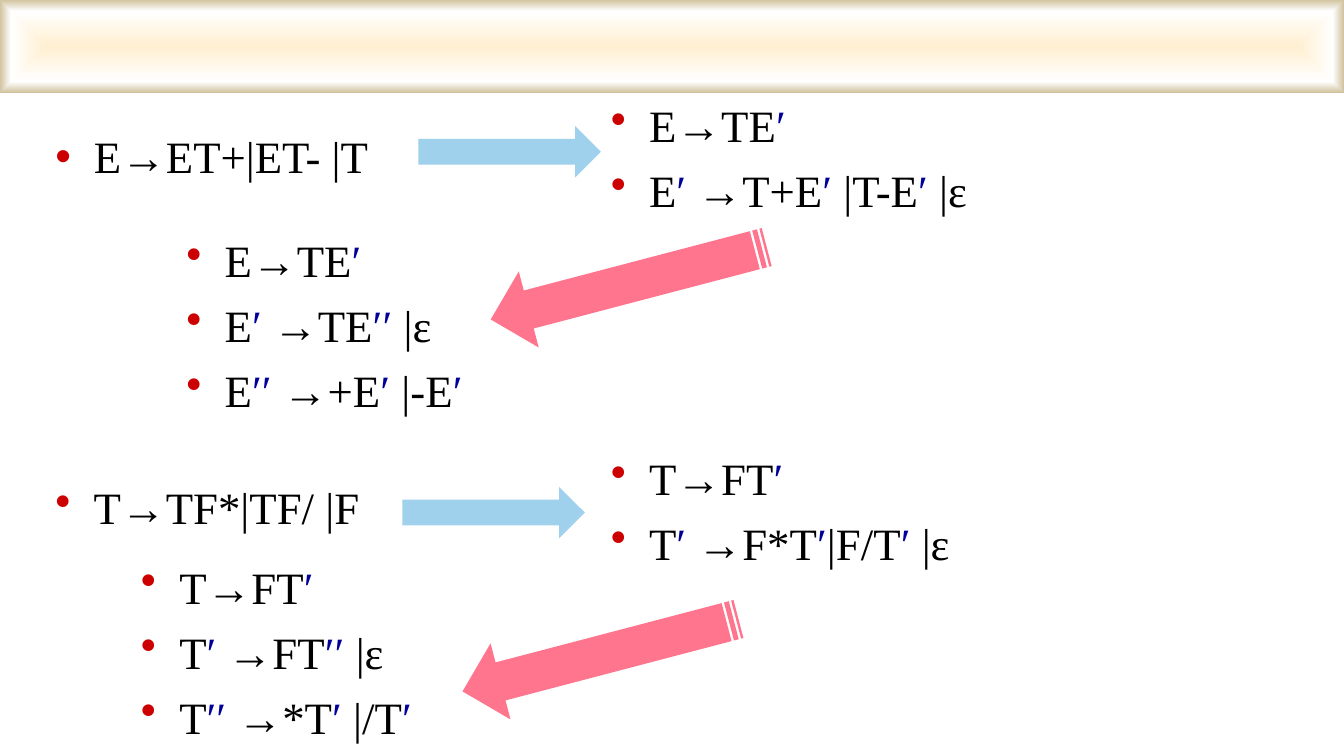
from dataclasses import dataclass
from itertools import groupby

from lxml.etree import SubElement
from pptx import Presentation
from pptx.dml.color import RGBColor
from pptx.enum.shapes import MSO_SHAPE as Preset
from pptx.enum.text import MSO_ANCHOR, MSO_AUTO_SIZE
from pptx.oxml import parse_xml
from pptx.oxml.ns import nsdecls, qn
from pptx.util import Inches, Pt

FONT = "Times New Roman"
PRIME = "′"
COLORS = {
    "text": "000000",
    "prime": "000099",
    "bullet": "CC0000",
    "split": "9FD0EC",
    "factor": "FF758D",
    "banner_center": "FFEFD1",
    "banner_middle": "FFFFFF",
    "banner_edge": "D1C39F",
}
BANNER_STOPS = ((0, "banner_center"), (76, "banner_middle"), (100, "banner_edge"))


@dataclass
class Grammar:
    left: float
    top: float
    width: float
    height: float
    rules: tuple[str, ...]


@dataclass
class Arrow:
    left: float
    top: float
    width: float
    height: float
    preset: Preset
    color: str
    rotation: float = 0


START_GRAMMAR = Grammar(0.45, 1.23, 4.02, 0.7, ("E→ET+|ET- |T",))
GRAMMARS = (
    Grammar(5.96, 0.92, 4.96, 1.34, ("E→TE′", "E′ →T+E′ |T-E′ |ε")),
    Grammar(0.45, 4.71, 4.02, 0.7, ("T→TF*|TF/ |F",)),
    Grammar(5.96, 4.42, 4.96, 1.34, ("T→FT′", "T′ →F*T′|F/T′ |ε")),
    Grammar(1.75, 2.26, 3.46, 2.22, ("E→TE′", "E′ →TE′′ |ε", "E′′ →+E′ |-E′")),
    Grammar(1.3, 5.5, 3.46, 2, ("T→FT′", "T′ →FT′′ |ε", "T′′ →*T′ |/T′")),
)
ARROWS = (
    Arrow(4.15, 1.25, 1.81, 0.51, Preset.RIGHT_ARROW, "split"),
    Arrow(3.99, 4.83, 1.81, 0.51, Preset.RIGHT_ARROW, "split"),
    Arrow(4.82, 2.42, 2.83, 0.78, Preset.STRIPED_RIGHT_ARROW, "factor", 165.3),
    Arrow(4.54, 6.11, 2.83, 0.78, Preset.STRIPED_RIGHT_ARROW, "factor", 165.3),
)


def box(item: Grammar | Arrow) -> tuple[Inches, ...]:
    return tuple(Inches(v) for v in (item.left, item.top, item.width, item.height))


def add_banner(slide, width: Inches) -> None:
    banner = slide.shapes.add_shape(Preset.RECTANGLE, 0, 0, width, Inches(0.92))
    banner.shadow.inherit = False
    banner.line.fill.background()
    stops = "".join(
        f'<a:gs pos="{percent * 1000}"><a:srgbClr val="{COLORS[color]}"/></a:gs>'
        for percent, color in BANNER_STOPS
    )
    gradient = parse_xml(
        f'<a:gradFill {nsdecls("a")} rotWithShape="1"><a:gsLst>{stops}</a:gsLst>'
        '<a:path path="shape"><a:fillToRect l="50000" t="50000" r="50000" b="50000"/>'
        "</a:path></a:gradFill>"
    )
    banner._element.spPr.find(qn("a:prstGeom")).addnext(gradient)


def add_arrow(slide, arrow: Arrow) -> None:
    shape = slide.shapes.add_shape(arrow.preset, *box(arrow))
    shape.rotation = arrow.rotation
    shape.shadow.inherit = False
    shape.fill.solid()
    shape.fill.fore_color.rgb = RGBColor.from_string(COLORS[arrow.color])
    shape.line.fill.background()


def format_bullet(paragraph) -> None:
    paragraph.space_before = Pt(8)
    properties = paragraph._p.get_or_add_pPr()
    properties.set("marL", str(Inches(0.38)))
    properties.set("indent", str(-Inches(0.38)))
    bullet_color = SubElement(properties, qn("a:buClr"))
    SubElement(bullet_color, qn("a:srgbClr"), val=COLORS["bullet"])
    SubElement(properties, qn("a:buChar"), char="•")


def add_rule(paragraph, rule: str) -> None:
    """Write one production, with its prime marks in their own colour."""
    format_bullet(paragraph)
    for is_prime, symbols in groupby(rule, key=lambda symbol: symbol == PRIME):
        run = paragraph.add_run()
        run.text = "".join(symbols)
        run.font.size = Pt(32)
        run.font.name = FONT
        color = COLORS["prime" if is_prime else "text"]
        run.font.color.rgb = RGBColor.from_string(color)
        SubElement(run.font._element, qn("a:ea"), typeface=FONT)


def fill_grammar(holder, grammar: Grammar) -> None:
    holder.left, holder.top, holder.width, holder.height = box(grammar)
    frame = holder.text_frame
    frame.word_wrap = True
    frame.auto_size = MSO_AUTO_SIZE.NONE
    frame.vertical_anchor = MSO_ANCHOR.TOP
    for index, rule in enumerate(grammar.rules):
        add_rule(frame.add_paragraph() if index else frame.paragraphs[0], rule)


def main() -> None:
    deck = Presentation()
    deck.slide_width, deck.slide_height = Inches(13.33), Inches(7.5)
    slide = deck.slides.add_slide(deck.slide_layouts[1])
    title = slide.shapes.title._element
    title.getparent().remove(title)

    add_banner(slide, deck.slide_width)
    fill_grammar(slide.placeholders[1], START_GRAMMAR)
    for grammar in GRAMMARS:
        fill_grammar(slide.shapes.add_textbox(*box(grammar)), grammar)
    for arrow in ARROWS:
        add_arrow(slide, arrow)
    deck.save("out.pptx")


if __name__ == "__main__":
    main()
